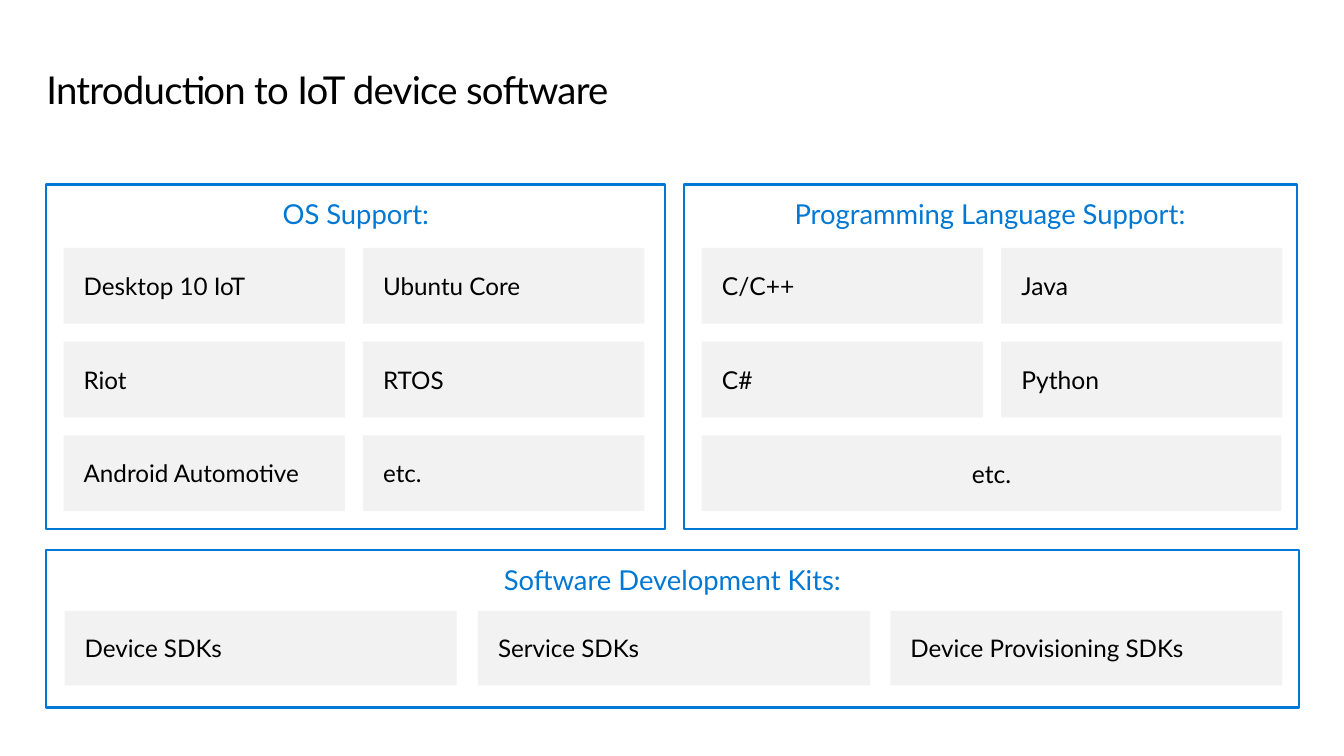
from pptx import Presentation
from pptx.dml.color import RGBColor
from pptx.enum.shapes import MSO_SHAPE
from pptx.enum.text import MSO_ANCHOR, PP_ALIGN
from pptx.util import Pt

SCALE = 9144
FONT = "Lato"
BLUE, GREY, BLACK = "0078D4", "F2F2F2", "000000"


def px(num):
    return num * SCALE


def paint(tint, code):
    tint.rgb = RGBColor.from_string(code)


def write(frame, text, size, code, align, side=0, edge=0):
    frame.word_wrap = True
    frame.margin_left = frame.margin_right = px(side)
    frame.margin_top = frame.margin_bottom = px(edge)
    para = frame.paragraphs[0]
    para.text = text
    para.alignment = align
    para.font.name = FONT
    para.font.size = Pt(size)
    paint(para.font.color, code)
    return para


def title(slide, text):
    box = slide.shapes.add_textbox(px(46), px(68), px(1241), px(44))
    para = write(box.text_frame, text, 27.4, BLACK, PP_ALIGN.LEFT)
    para.line_spacing = Pt(31.4)
    para.runs[0]._r.get_or_add_rPr().set("spc", "-50")


def block(slide, left, top, wide, high):
    shape = slide.shapes.add_shape(
        MSO_SHAPE.RECTANGLE, px(left), px(top), px(wide), px(high))
    shape.shadow.inherit = False
    return shape


def panel(slide, text, left, top, wide, high):
    shape = block(slide, left, top, wide, high)
    shape.fill.background()
    paint(shape.line.color, BLUE)
    shape.line.width = Pt(1.5)
    frame = shape.text_frame
    frame.vertical_anchor = MSO_ANCHOR.TOP
    para = write(frame, text, 19.6, BLUE, PP_ALIGN.CENTER, 20, 16)
    para.line_spacing = 0.9


def tile(slide, text, left, top, wide, high, size, align=PP_ALIGN.LEFT):
    shape = block(slide, left, top, wide, high)
    shape.fill.solid()
    paint(shape.fill.fore_color, GREY)
    shape.line.fill.background()
    frame = shape.text_frame
    frame.vertical_anchor = MSO_ANCHOR.MIDDLE
    write(frame, text, size, BLACK, align, 20, 15)


def grid(slide, names, cols, left, top, span, wide, high, size):
    step = (span - wide) / (cols - 1)
    for spot, name in enumerate(names):
        row, col = divmod(spot, cols)
        tile(slide, name, left + round(col * step), top + row * 93,
             wide, high, size)


def main():
    deck = Presentation()
    deck.slide_width, deck.slide_height = px(1333), px(750)
    slide = deck.slides.add_slide(deck.slide_layouts[6])

    title(slide, "Introduction to IoT device software")

    panel(slide, "OS Support:", 46, 183, 614, 342)
    systems = ["Desktop 10 IoT", "Ubuntu Core", "Riot", "RTOS",
               "Android Automotive", "etc."]
    grid(slide, systems, 2, 63, 246, 576, 279, 75, 17.3)

    panel(slide, "Programming Language Support:", 678, 183, 608, 342)
    grid(slide, ["C/C++", "Java", "C#", "Python"], 2,
         696, 246, 576, 279, 75, 17.6)
    tile(slide, "etc.", 696, 432, 575, 75, 17.6, PP_ALIGN.CENTER)

    panel(slide, "Software Development Kits:", 46, 546, 1242, 156)
    kits = ["Device SDKs", "Service SDKs", "Device Provisioning SDKs"]
    grid(slide, kits, 3, 64, 606, 1208, 389, 74, 17.3)

    deck.save("out.pptx")


if __name__ == "__main__":
    main()
